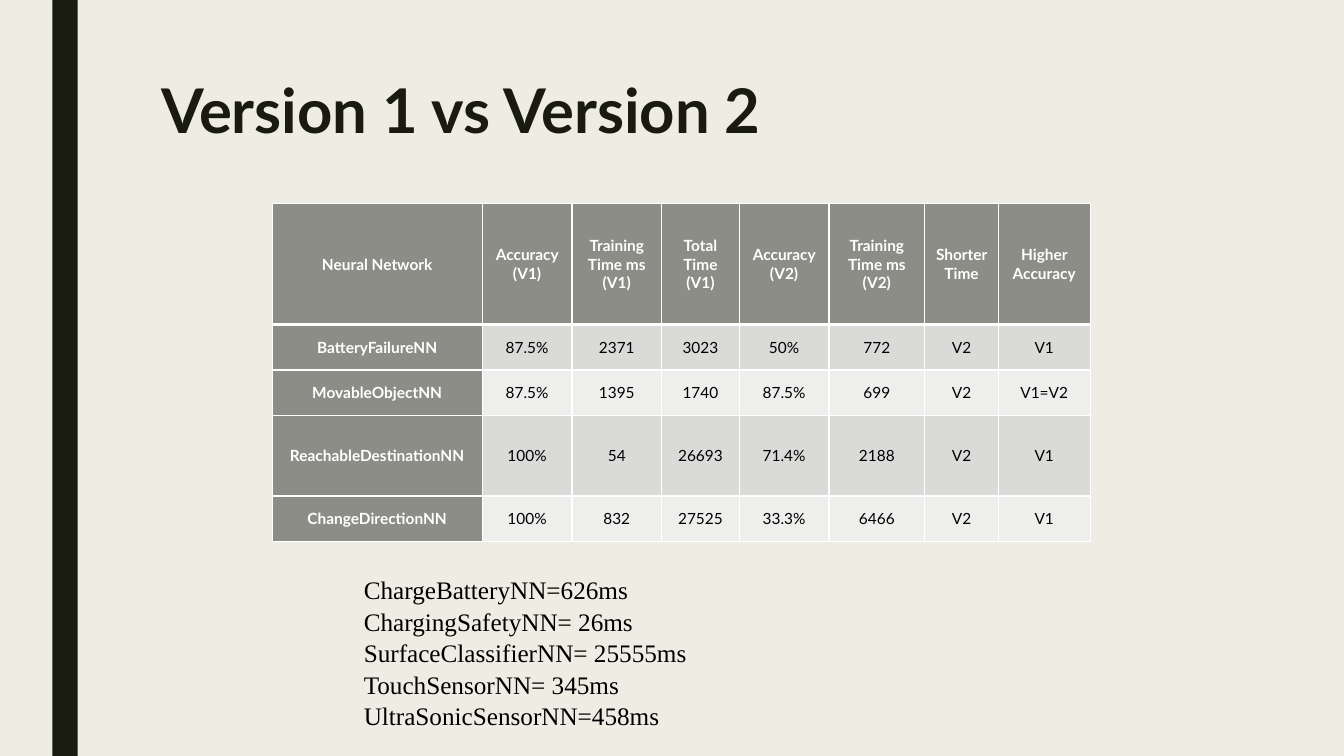
from dataclasses import dataclass

from lxml import etree
from pptx import Presentation
from pptx import util as u
from pptx.dml import color
from pptx.enum import shapes, text
from pptx.oxml import ns

SLIDE_WIDTH, SLIDE_HEIGHT = u.Inches(13.33), u.Inches(7.5)
UNIT = SLIDE_HEIGHT / 90
INK, PAPER, WHITE, BLACK = "191B0E", "EFEDE3", "FFFFFF", "000000"
HEADING_FILL, BAND_FILLS = "8C8D86", ("DADBD9", "EEEEED")


@dataclass(frozen=True)
class Area:
    column: float
    row: float
    columns: float
    rows: float

    def lengths(self) -> tuple[int, int, int, int]:
        return grid(self.column), grid(self.row), grid(self.columns), grid(self.rows)


@dataclass(frozen=True)
class TableColumn:
    heading: str
    width: float
    values: tuple[str, ...]


BAND = Area(6.24, 0, 3, 90)
TITLE = Area(18, 9, 126, 11.76)
TABLE = Area(32.4, 24.24, 97.2, 40.2)
NOTES = Area(39.12, 67.8, 80.04, 19.44)
ROW_HEIGHTS = (14.4, 5.4, 5.4, 9.6, 5.4)
COLUMNS = (
    TableColumn("Neural Network", 25, (
        "BatteryFailureNN", "MovableObjectNN", "ReachableDestinationNN", "ChangeDirectionNN")),
    TableColumn("Accuracy (V1)", 10.68, ("87.5%", "87.5%", "100%", "100%")),
    TableColumn("Training Time ms (V1)", 10.68, ("2371", "1395", "54", "832")),
    TableColumn("Total Time (V1)", 9.24, ("3023", "1740", "26693", "27525")),
    TableColumn("Accuracy (V2)", 10.68, ("50%", "87.5%", "71.4%", "33.3%")),
    TableColumn("Training Time ms (V2)", 11.4, ("772", "699", "2188", "6466")),
    TableColumn("Shorter Time", 8.76, ("V2", "V2", "V2", "V2")),
    TableColumn("Higher Accuracy", 10.92, ("V1", "V1=V2", "V1", "V1")),
)
TIMINGS = (
    "ChargeBatteryNN=626ms",
    "ChargingSafetyNN= 26ms",
    "SurfaceClassifierNN= 25555ms",
    "TouchSensorNN= 345ms",
    "UltraSonicSensorNN=458ms",
)


def grid(units: float) -> int:
    return round(units * UNIT)


def rgb(value: str) -> color.RGBColor:
    return color.RGBColor.from_string(value)


def paint(fill, value: str) -> None:
    fill.solid()
    fill.fore_color.rgb = rgb(value)


def write(frame, *lines: str, size: float, font: str = "Lato", ink: str = BLACK,
          bold: bool = False, align=text.PP_ALIGN.LEFT, indent: float = 0,
          spacing: float | None = None, gap: float = 0) -> None:
    frame.word_wrap = True
    for index, line in enumerate(lines):
        para = frame.add_paragraph() if index else frame.paragraphs[0]
        para.alignment = align
        if indent:
            properties = para._p.get_or_add_pPr()
            properties.set("marL", "0")
            properties.set("indent", str(grid(indent)))
        if spacing:
            para.line_spacing = spacing
        if index and gap:
            para.space_before = u.Pt(gap)
        span = para.add_run()
        span.text = line
        span.font.name = font
        span.font.size = u.Pt(size)
        span.font.bold = bold
        span.font.color.rgb = rgb(ink)


def add_borders(cell, top: float, bottom: float) -> None:
    properties = cell._tc.get_or_add_tcPr()
    for index, (side, width) in enumerate(
            (("lnL", 1), ("lnR", 1), ("lnT", top), ("lnB", bottom))):
        line = etree.Element(ns.qn(f"a:{side}"), w=str(u.Pt(width)))
        solid = etree.SubElement(line, ns.qn("a:solidFill"))
        etree.SubElement(solid, ns.qn("a:srgbClr"), val=WHITE)
        properties.insert(index, line)


def draw_cell(cell, content: str, row: int, column: int) -> None:
    heading = row == 0 or column == 0
    cell.margin_left = cell.margin_right = u.Inches(0.07)
    cell.margin_top = cell.margin_bottom = 0
    cell.vertical_anchor = text.MSO_ANCHOR.MIDDLE
    paint(cell.fill, HEADING_FILL if heading else BAND_FILLS[(row - 1) % 2])
    add_borders(cell, top=3 if row == 1 else 1, bottom=3 if row == 0 else 1)
    write(cell.text_frame, content, size=11, ink=WHITE if heading else BLACK,
          bold=heading, align=text.PP_ALIGN.CENTER)


def draw_table(page) -> None:
    table = page.shapes.add_table(len(ROW_HEIGHTS), len(COLUMNS), *TABLE.lengths()).table
    for row, height in enumerate(ROW_HEIGHTS):
        table.rows[row].height = grid(height)
    for index, column in enumerate(COLUMNS):
        table.columns[index].width = grid(column.width)
        for row, content in enumerate((column.heading, *column.values)):
            draw_cell(table.cell(row, index), content, row, index)


def draw_band(page) -> None:
    band = page.shapes.add_shape(shapes.MSO_SHAPE.RECTANGLE, *BAND.lengths())
    band.shadow.inherit = False
    paint(band.fill, INK)
    band.line.fill.background()


def main() -> None:
    deck = Presentation()
    deck.slide_width, deck.slide_height = SLIDE_WIDTH, SLIDE_HEIGHT
    page = deck.slides.add_slide(deck.slide_layouts[6])
    paint(page.background.fill, PAPER)
    draw_band(page)
    title = page.shapes.add_textbox(*TITLE.lengths())
    write(title.text_frame, "Version 1 vs Version 2", size=44, ink=INK, bold=True, spacing=0.89)
    draw_table(page)
    notes = page.shapes.add_textbox(*NOTES.lengths())
    write(notes.text_frame, *TIMINGS, size=18, font="Times New Roman", indent=3, gap=0.9)
    deck.save("out.pptx")


if __name__ == "__main__":
    main()
